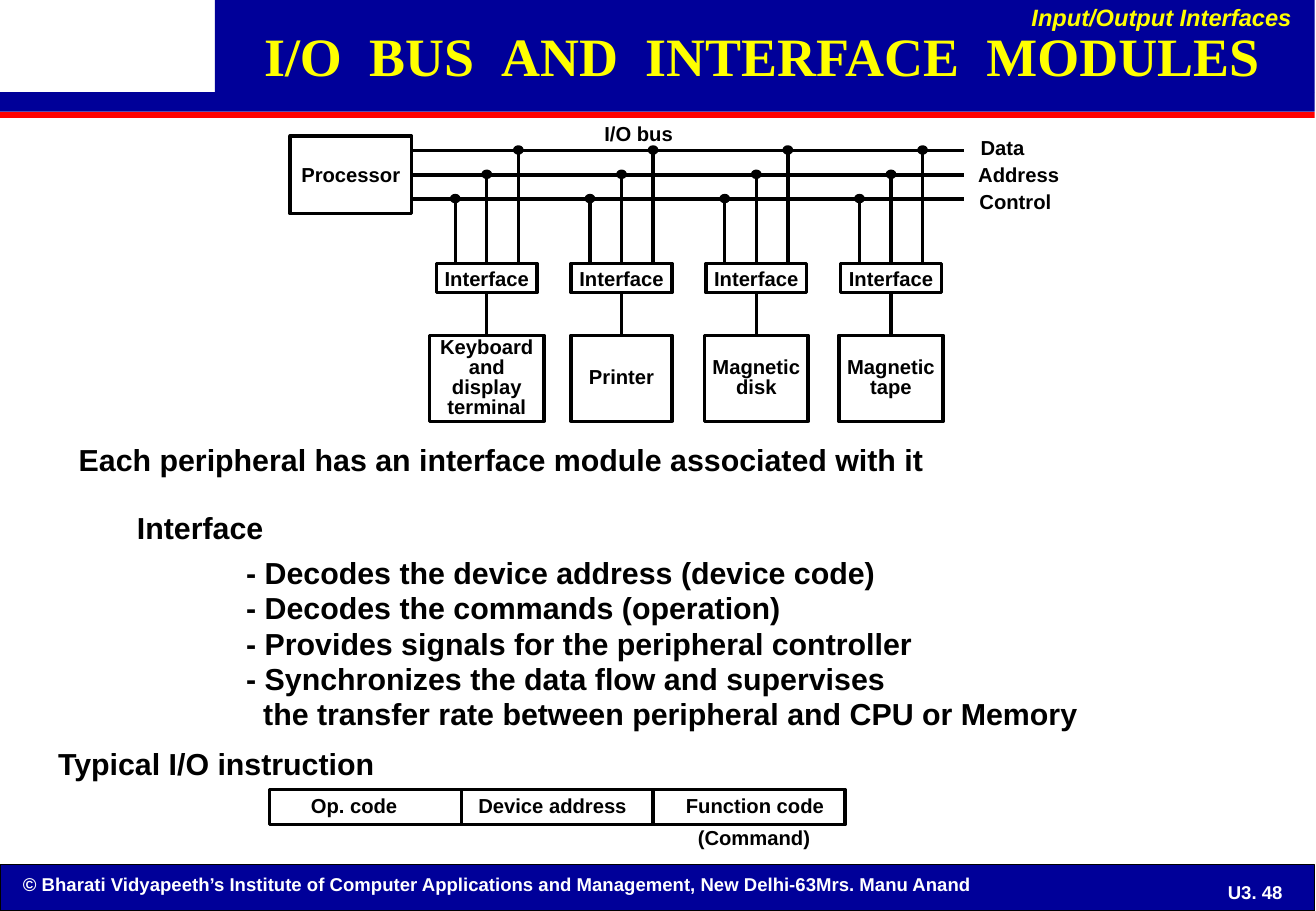
from dataclasses import dataclass

from lxml import etree
from pptx import Presentation
from pptx.dml.color import RGBColor
from pptx.enum.shapes import MSO_CONNECTOR, MSO_SHAPE
from pptx.enum.text import MSO_ANCHOR, PP_ALIGN
from pptx.oxml.ns import qn
from pptx.shapes.autoshape import Shape
from pptx.shapes.connector import Connector
from pptx.slide import Slide
from pptx.util import Inches, Pt

RECTANGLE, OVAL = MSO_SHAPE.RECTANGLE, MSO_SHAPE.OVAL
STRAIGHT = MSO_CONNECTOR.STRAIGHT
LEFT, CENTER, RIGHT = PP_ALIGN.LEFT, PP_ALIGN.CENTER, PP_ALIGN.RIGHT
TOP, MIDDLE = MSO_ANCHOR.TOP, MSO_ANCHOR.MIDDLE
BLACK = RGBColor(0x00, 0x00, 0x00)
WHITE = RGBColor(0xFF, 0xFF, 0xFF)
NAVY = RGBColor(0x00, 0x00, 0x99)
RED = RGBColor(0xFF, 0x00, 0x00)
YELLOW = RGBColor(0xFF, 0xFF, 0x00)

MODULE_PITCH = 1.11
DROP_GAP = 0.26
INTERFACE_TOP, INTERFACE_WIDTH, INTERFACE_HEIGHT = 2.17, 0.83, 0.24
DEVICE_TOP, DEVICE_HEIGHT = 2.76, 0.71
BUS_LEFT, BUS_RIGHT = 3.39, 7.94
FIELD_LEFT, FIELD_TOP, FIELD_WIDTH, FIELD_HEIGHT = 2.22, 6.5, 1.58, 0.29


@dataclass(frozen=True)
class Style:
    size: float = 12
    color: RGBColor = BLACK
    align: PP_ALIGN = LEFT
    anchor: MSO_ANCHOR = TOP
    spacing: float = 0.9
    font: str = "Arial"
    italic: bool = False


@dataclass(frozen=True)
class Caption:
    lines: tuple[str, ...]
    left: float
    top: float
    width: float
    height: float
    style: Style = Style()


@dataclass(frozen=True)
class Band:
    left: float
    top: float
    width: float
    height: float
    color: RGBColor


@dataclass(frozen=True)
class Bus:
    name: str
    y: float
    drop: float
    label_left: float
    label_top: float


@dataclass(frozen=True)
class Device:
    lines: tuple[str, ...]
    width: float


@dataclass(frozen=True)
class Field:
    name: str
    inset: float


BODY = Style(size=18)
STEPS = Style(size=18, spacing=0.97)
BOXED = Style(align=CENTER, anchor=MIDDLE, spacing=1)
DEVICE = Style(align=CENTER, anchor=MIDDLE, spacing=0.83)
FOOTER = Style(size=11, color=WHITE, spacing=1)
PAGE_NUMBER = Style(size=11, color=WHITE, align=CENTER, anchor=MIDDLE, spacing=1)
HEADER = Style(size=14, color=YELLOW, align=RIGHT, italic=True)
TITLE = Style(32, YELLOW, CENTER, MIDDLE, 1, "Times New Roman")

BANDS = (
    Band(0, 7.12, 10.83, 0.38, NAVY),
    Band(0, 0.92, 10.83, 0.05, RED),
    Band(1.77, 0, 9.06, 0.76, NAVY),
    Band(0, 0.76, 10.83, 0.16, NAVY),
)
CAPTIONS = (
    Caption(("© Bharati Vidyapeeth’s Institute of Computer Applications and Management, "
             "New Delhi-63Mrs. Manu Anand",), 0.09, 7.14, 9.95, 0.29, FOOTER),
    Caption(("U3. 48",), 9.86, 7.19, 0.96, 0.31, PAGE_NUMBER),
    Caption(("Input/Output Interfaces",), 7.94, 0, 2.8, 0.31, HEADER),
    Caption(("I/O bus",), 4.88, 0.97, 1, 0.28),
    Caption(("Typical I/O instruction",), 0.38, 6.1, 3, 0.39, STEPS),
    Caption(("(Command)",), 5.65, 6.77, 1.3, 0.29),
)
BUSES = (
    Bus("Data", 1.24, DROP_GAP, 7.98, 1.09),
    Bus("Address", 1.44, 0, 7.96, 1.31),
    Bus("Control", 1.64, -DROP_GAP, 7.97, 1.53),
)
DEVICES = (
    Device(("Keyboard", "and", "display", "terminal"), 0.94),
    Device(("Printer",), 0.83),
    Device(("Magnetic", "disk"), 0.85),
    Device(("Magnetic", "tape"), 0.86),
)
FIELDS = (Field("Op. code", 0.34), Field("Device address", 0.14), Field("Function code", 0.27))


def write(box: Shape, lines: tuple[str, ...], style: Style, inset: float, margin: float) -> None:
    frame = box.text_frame
    frame.word_wrap = False
    frame.vertical_anchor = style.anchor
    frame.margin_left = frame.margin_right = Inches(inset)
    frame.margin_top = frame.margin_bottom = Inches(margin)
    frame.text = "\n".join(lines)
    for para in frame.paragraphs:
        para.alignment = style.align
        para.line_spacing = style.spacing
        para.font.name = style.font
        para.font.size = Pt(style.size)
        para.font.bold = True
        para.font.italic = style.italic
        para.font.color.rgb = style.color


def add_caption(page: Slide, caption: Caption) -> Shape:
    box = page.shapes.add_textbox(Inches(caption.left), Inches(caption.top),
                                  Inches(caption.width), Inches(caption.height))
    write(box, caption.lines, caption.style, 0.1, 0.05)
    return box


def indent(box: Shape, index: int, left: float) -> None:
    box.text_frame.paragraphs[index]._p.get_or_add_pPr().set("marL", str(Inches(left)))


def add_title(page: Slide) -> None:
    box = add_caption(page, Caption(("",), 1.75, 0, 9.05, 0.9, TITLE))
    para = box.text_frame.paragraphs[0]
    for index, word in enumerate("I/O BUS AND INTERFACE MODULES".split()):
        if index:
            gap = para.add_run()
            gap.text = " "
            gap._r.get_or_add_rPr().set("spc", "800")
        para.add_run().text = word


def add_band(page: Slide, band: Band) -> Shape:
    shape = page.shapes.add_shape(RECTANGLE, Inches(band.left), Inches(band.top),
                                  Inches(band.width), Inches(band.height))
    shape.shadow.inherit = False
    shape.fill.solid()
    shape.fill.fore_color.rgb = band.color
    shape.line.fill.background()
    return shape


def add_outline(page: Slide, left: float, top: float, width: float, height: float,
                kind: MSO_SHAPE = RECTANGLE) -> Shape:
    shape = page.shapes.add_shape(kind, Inches(left), Inches(top), Inches(width), Inches(height))
    shape.shadow.inherit = False
    shape.fill.background()
    shape.line.color.rgb = BLACK
    shape.line.width = Pt(2)
    return shape


def add_line(page: Slide, x1: float, y1: float, x2: float, y2: float) -> Connector:
    line = page.shapes.add_connector(STRAIGHT, Inches(x1), Inches(y1), Inches(x2), Inches(y2))
    line.line.color.rgb = BLACK
    line.line.width = Pt(2)
    etree.SubElement(line._element.spPr, qn("a:effectLst"))
    return line


def add_module(page: Slide, device: Device, center: float) -> None:
    interface = add_outline(page, center - INTERFACE_WIDTH / 2, INTERFACE_TOP,
                            INTERFACE_WIDTH, INTERFACE_HEIGHT)
    write(interface, ("Interface",), BOXED, 0, 0)
    box = add_outline(page, center - device.width / 2, DEVICE_TOP, device.width, DEVICE_HEIGHT)
    write(box, device.lines, DEVICE, 0, 0)
    link = add_line(page, center, INTERFACE_TOP + INTERFACE_HEIGHT, center, DEVICE_TOP)
    link.begin_connect(interface, 2)
    link.end_connect(box, 0)
    for bus in BUSES:
        x = center + bus.drop
        drop = add_line(page, x, bus.y, x, INTERFACE_TOP)
        if bus.drop == 0:
            drop.end_connect(interface, 0)
        dot = add_outline(page, x - 0.03, bus.y - 0.03, 0.06, 0.05, OVAL)
        dot.fill.solid()
        dot.fill.fore_color.rgb = BLACK


def add_diagram(page: Slide) -> None:
    processor = add_outline(page, 2.39, 1.12, 1, 0.64)
    write(processor, ("Processor",), BOXED, 0, 0)
    for bus in BUSES:
        line = add_line(page, BUS_LEFT, bus.y, BUS_RIGHT, bus.y)
        if bus.drop == 0:
            line.begin_connect(processor, 3)
        add_caption(page, Caption((bus.name,), bus.label_left, bus.label_top, 1, 0.28))
    for index, device in enumerate(DEVICES):
        add_module(page, device, 4.01 + index * MODULE_PITCH)


def add_explanation(page: Slide) -> None:
    intro = add_caption(page, Caption(
        ("Each peripheral has an interface module associated with it", "Interface"),
        0.55, 3.62, 7.5, 0.91, BODY))
    indent(intro, 1, 0.48)
    intro.text_frame.paragraphs[1].space_before = Pt(20.6)
    steps = add_caption(page, Caption(
        ("- Decodes the device address (device code)",
         "- Decodes the commands (operation)",
         "- Provides signals for the peripheral controller",
         "- Synchronizes the data flow and supervises",
         "the transfer rate between peripheral and CPU or Memory"),
        1.93, 4.53, 7.3, 1.55, STEPS))
    indent(steps, 4, 0.14)


def main() -> None:
    deck = Presentation()
    deck.slide_width, deck.slide_height = Inches(10.84), Inches(7.5)
    page = deck.slides.add_slide(deck.slide_layouts[6])
    footer, *_ = [add_band(page, band) for band in BANDS]
    footer.line.color.rgb = BLACK
    footer.line.width = Pt(0.75)
    add_title(page)
    for caption in CAPTIONS:
        add_caption(page, caption)
    add_diagram(page)
    add_explanation(page)
    for index, field in enumerate(FIELDS):
        box = add_outline(page, FIELD_LEFT + index * FIELD_WIDTH, FIELD_TOP,
                          FIELD_WIDTH, FIELD_HEIGHT)
        write(box, (field.name,), Style(anchor=MIDDLE), field.inset, 0)
    deck.save("out.pptx")


if __name__ == "__main__":
    main()
